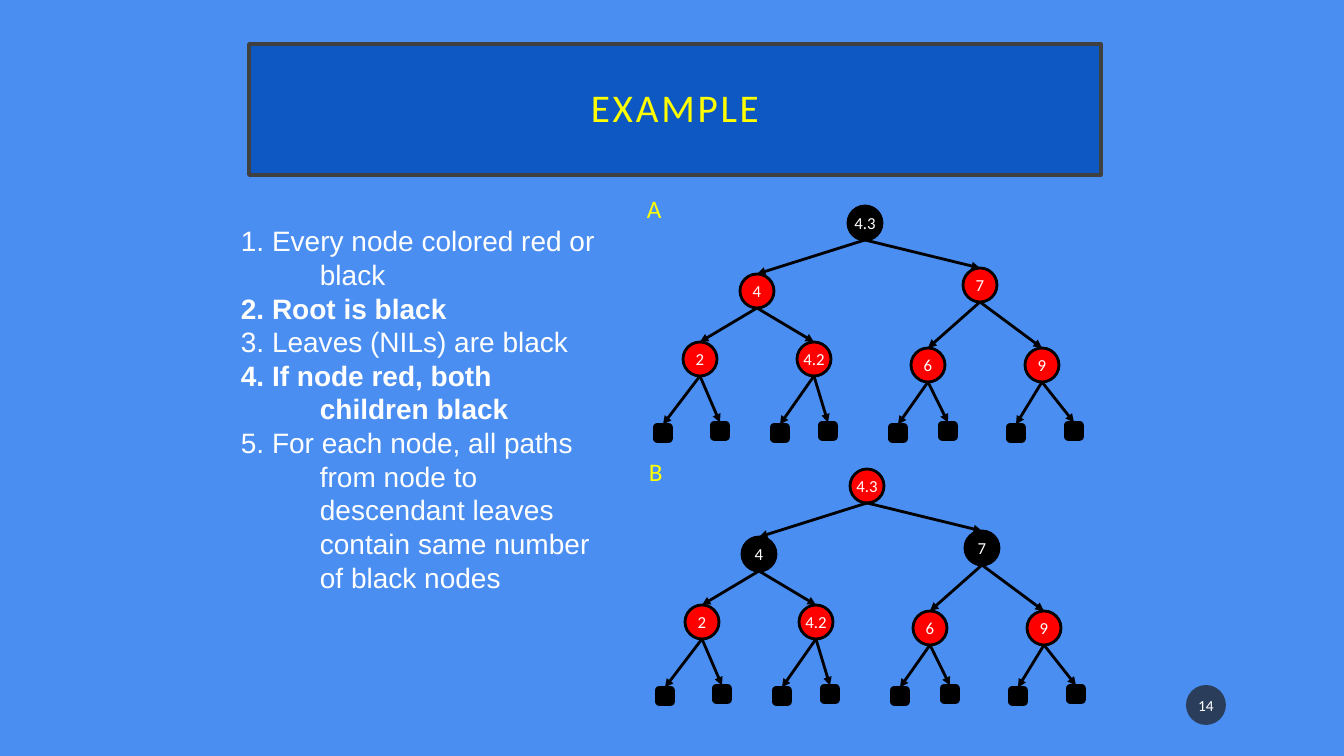
import dataclasses

import lxml.etree
import pptx
import pptx.dml.color
import pptx.enum.shapes
import pptx.enum.text
import pptx.oxml.ns
import pptx.util

SHAPE = pptx.enum.shapes.MSO_SHAPE
ALIGN = pptx.enum.text.PP_ALIGN
ANCHOR = pptx.enum.text.MSO_ANCHOR
SCALE = 914400 / 100.8


@dataclasses.dataclass(frozen=True)
class Theme:
    """Hold the colours, fonts and type sizes."""
    back: str = "4A8EF2"
    band: str = "0E58C4"
    edge: str = "404040"
    badge: str = "1D1D1D"
    black: str = "000000"
    red: str = "FF0000"
    white: str = "FFFFFF"
    yellow: str = "FFFF00"
    sans: str = "Calibri"
    plain: str = "Arial"
    title: int = 28
    body: int = 20
    pitch: int = 24
    label: int = 18
    node: int = 12
    page: int = 11


THEME = Theme()
RULES = [
    ("1. Every node colored red or black", False),
    ("2. Root is black", True),
    ("3. Leaves (NILs) are black", False),
    ("4. If node red, both children black", True),
    ("5. For each node, all paths from node to descendant leaves "
     "contain same number of black nodes", False),
]
KEYS = [("4.3", 228, 35), ("4", 120, 103), ("7", 343, 97), ("2", 63, 171),
        ("4.2", 177, 171), ("6", 291, 177), ("9", 405, 177)]
LEAVES = [(26, 245), (83, 243), (143, 245), (191, 243),
          (261, 245), (311, 243), (379, 245), (437, 243)]


def px(num):
    """Turn px into EMU."""
    return pptx.util.Emu(round(num * SCALE))


def rgb(code):
    """Make a colour from its hex code."""
    return pptx.dml.color.RGBColor.from_string(code)


def tag(parent, name, **attrs):
    """Add a drawing element to its parent."""
    return lxml.etree.SubElement(parent, pptx.oxml.ns.qn(name), attrs)


def write(frame, text, size, color=THEME.white, font=THEME.sans, bold=False,
          align=ALIGN.LEFT, line=None, hang=0, track=0):
    """Write one paragraph into a text frame."""
    para = frame.paragraphs[0]
    if para.runs:
        para = frame.add_paragraph()
    para.alignment = align
    if line:
        para.line_spacing = line
    if hang:
        props = para._p.get_or_add_pPr()
        props.set("marL", str(px(hang)))
        props.set("indent", str(-px(hang)))
    run = para.add_run()
    run.text = text
    run.font.size = pptx.util.Pt(size)
    run.font.name = font
    run.font.bold = bold
    run.font.color.rgb = rgb(color)
    if track:
        run.font._element.set("spc", str(track * 100))


def inset(frame, side, top):
    """Set the inner margins of a text frame."""
    frame.margin_left = frame.margin_right = px(side)
    frame.margin_top = frame.margin_bottom = px(top)


def shape(slide, kind, x, y, wide, high, fill, edge=None, width=2):
    """Add a filled shape with middle-anchored text."""
    item = slide.shapes.add_shape(kind, px(x), px(y), px(wide), px(high))
    item.shadow.inherit = False
    item.fill.solid()
    item.fill.fore_color.rgb = rgb(fill)
    if edge:
        item.line.color.rgb = rgb(edge)
        item.line.width = pptx.util.Pt(width)
    else:
        item.line.fill.background()
    item.text_frame.vertical_anchor = ANCHOR.MIDDLE
    return item


def dot(slide, kind, x, y, size, fill):
    """Add a black-edged shape centred on a point."""
    return shape(slide, kind, x - size / 2, y - size / 2, size, size,
                 fill, THEME.black)


def arrow(slide, start, end):
    """Point from the bottom of one node to the top of another."""
    x = start.left + start.width // 2
    y = start.top + start.height
    line = slide.shapes.add_connector(
        pptx.enum.shapes.MSO_CONNECTOR.STRAIGHT, x, y, x, y)
    line.end_connect(end, 0)
    line.line.color.rgb = rgb(THEME.black)
    line.line.width = pptx.util.Pt(2)
    tag(line.line._get_or_add_ln(), "a:tailEnd", type="triangle")
    tag(line._element.spPr, "a:effectLst")


def tree(slide, x, y, name, dark):
    """Draw a labelled tree whose dark nodes are black."""
    box = slide.shapes.add_textbox(px(x), px(y), px(35), px(40))
    box.text_frame.word_wrap = False
    write(box.text_frame, name, THEME.label, THEME.yellow)
    nodes = []
    for spot, (key, dx, dy) in enumerate(KEYS):
        fill = THEME.black if spot in dark else THEME.red
        node = dot(slide, SHAPE.OVAL, x + dx, y + dy, 34, fill)
        node.text_frame.word_wrap = False
        write(node.text_frame, key, THEME.node, align=ALIGN.CENTER)
        nodes.append(node)
    for dx, dy in LEAVES:
        nodes.append(dot(slide, SHAPE.ROUNDED_RECTANGLE, x + dx, y + dy,
                         17, THEME.black))
    for spot in range(1, len(nodes)):
        arrow(slide, nodes[(spot - 1) // 2], nodes[spot])


def head(slide, x, y, wide, high):
    """Draw the title band."""
    band = shape(slide, SHAPE.RECTANGLE, x, y, wide, high,
                 THEME.band, THEME.edge, 2.5)
    inset(band.text_frame, 20, 20)
    write(band.text_frame, "EXAMPLE", THEME.title, THEME.yellow,
          align=ALIGN.CENTER, line=0.9, track=2)


def rules(slide, x, y, wide, high):
    """List the rules of the tree."""
    box = slide.shapes.add_textbox(px(x), px(y), px(wide), px(high))
    box.text_frame.word_wrap = True
    for text, bold in RULES:
        write(box.text_frame, text, THEME.body, font=THEME.plain, bold=bold,
              line=pptx.util.Pt(THEME.pitch), hang=79)


def badge(slide, x, y, size):
    """Draw the page number in a see-through disc."""
    disc = shape(slide, SHAPE.OVAL, x, y, size, size, THEME.badge)
    color = disc._element.spPr.find(".//" + pptx.oxml.ns.qn("a:srgbClr"))
    tag(color, "a:alpha", val="70000")
    inset(disc.text_frame, 2, 5)
    write(disc.text_frame, "14", THEME.page, align=ALIGN.CENTER)


def main():
    """Build and save the slide."""
    deck = pptx.Presentation()
    deck.slide_width, deck.slide_height = px(1344), px(756)
    slide = deck.slides.add_slide(deck.slide_layouts[6])
    slide.background.fill.solid()
    slide.background.fill.fore_color.rgb = rgb(THEME.back)
    badge(slide, 1186, 685, 40)
    head(slide, 249, 44, 852, 131)
    rules(slide, 231, 219, 382, 479)
    tree(slide, 637, 188, "A", {0})
    tree(slide, 639, 451, "B", {1, 2})
    deck.save("out.pptx")


if __name__ == "__main__":
    main()
